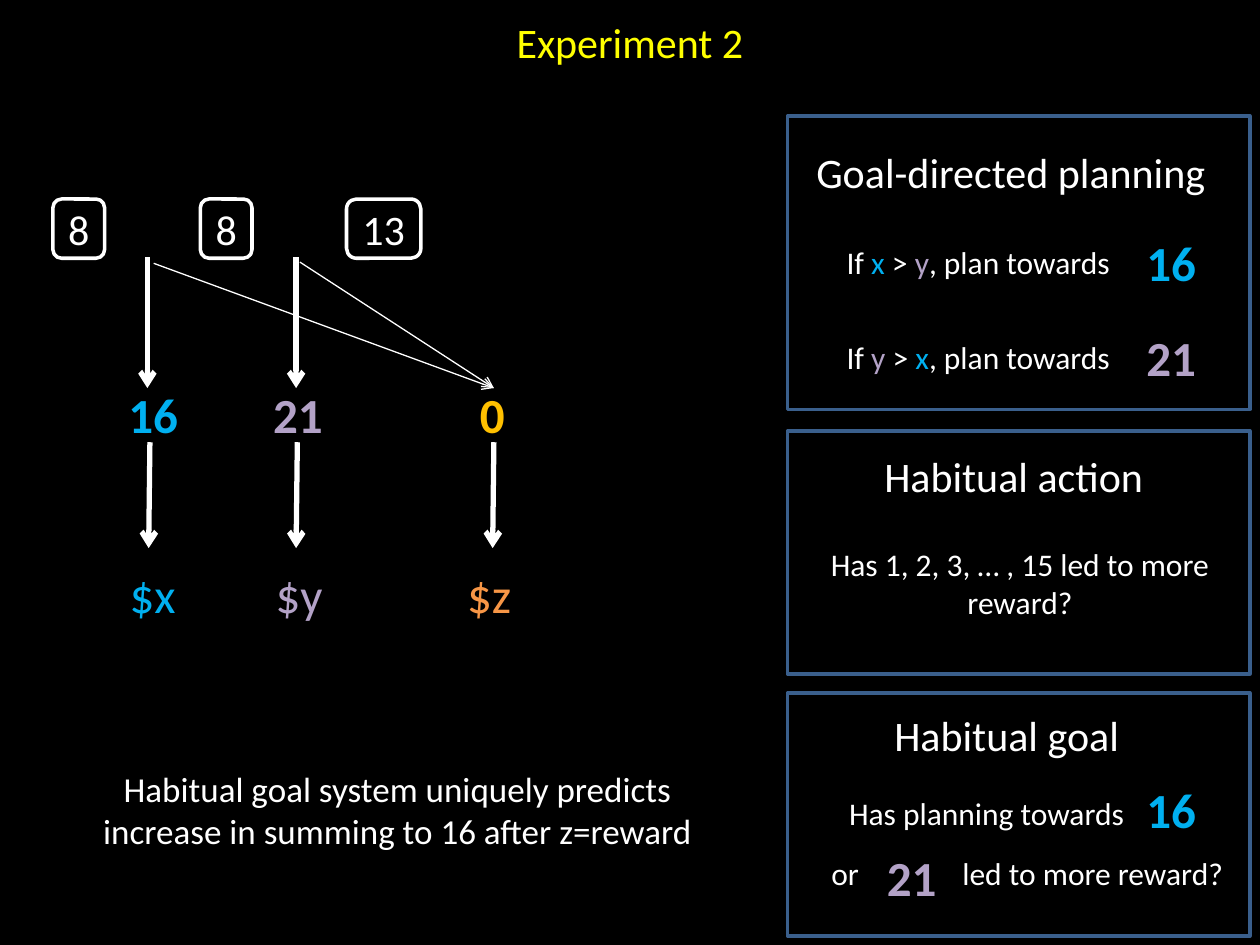
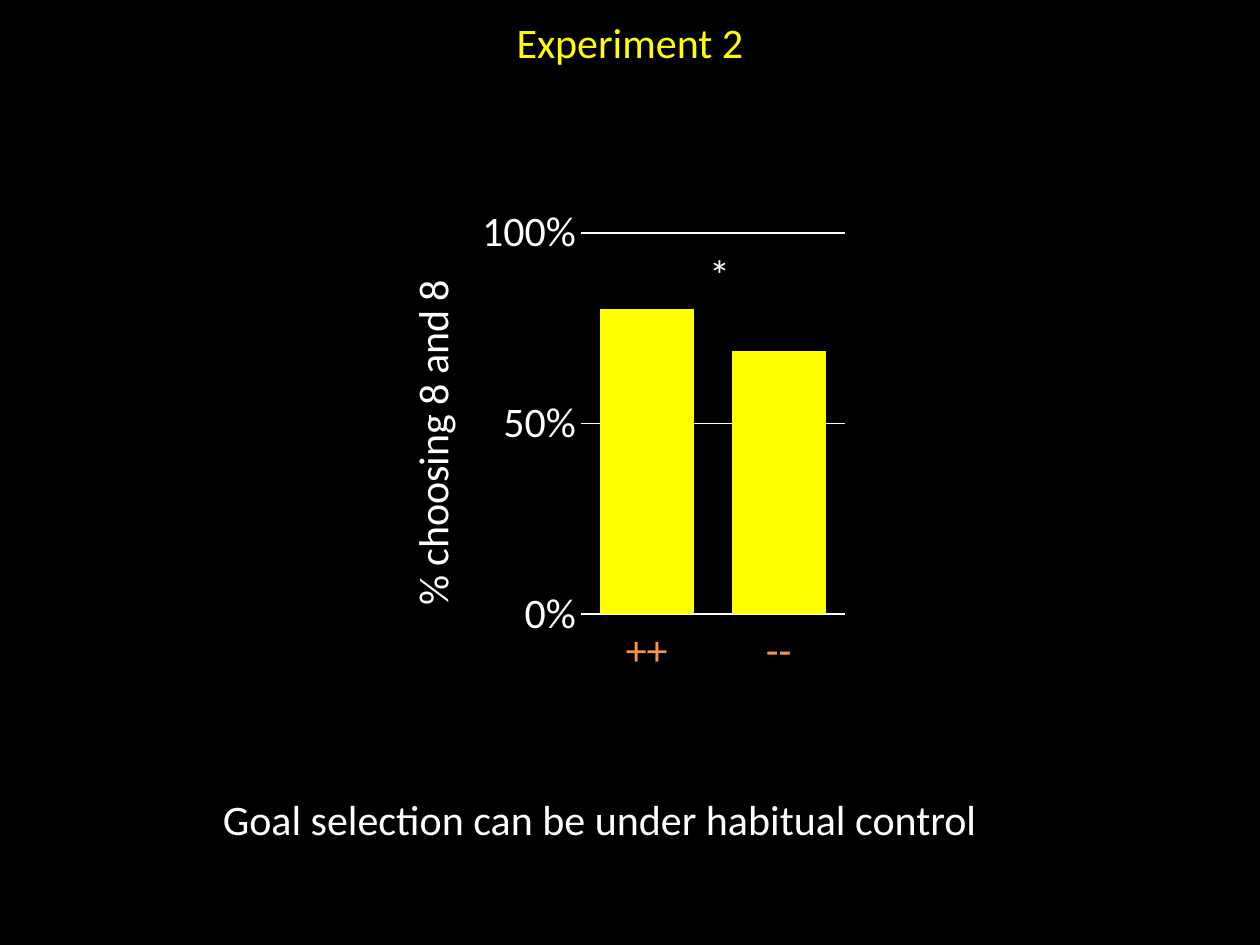
from dataclasses import dataclass

from lxml import etree
from pptx import Presentation
from pptx import util as u
from pptx.chart.data import CategoryChartData
from pptx.dml.color import RGBColor
from pptx.enum import chart as ch, shapes, text
from pptx.oxml import parse_xml
from pptx.oxml.ns import nsdecls, qn

PX = u.Inches(1) // 100


@dataclass(frozen=True)
class Theme:
    font: str = "Calibri"
    back: str = "000000"
    ink: str = "FFFFFF"
    title: str = "FFFF00"
    panel: str = "3A5F8C"
    x: str = "00B0F0"
    y: str = "B3A2C7"
    z: str = "F79646"
    zero: str = "FFC000"
    body: int = 18
    note: int = 20
    head: int = 24
    value: int = 28
    thin: float = 0.75
    outline: float = 2
    thick: float = 3


class Deck:
    def __init__(self, theme):
        self.t = theme
        self.prs = Presentation()
        self.prs.slide_width, self.prs.slide_height = 1000 * PX, 750 * PX

    def slide(self, title):
        self.s = self.prs.slides.add_slide(self.prs.slide_layouts[6])
        fill = self.s.background.fill
        fill.solid()
        fill.fore_color.rgb = RGBColor.from_string(self.t.back)
        self.text(title, 0, 8, 1000, 50, self.t.head, self.t.title, wrap=True)

    def style(self, font, size, color=None, bold=False):
        font.name, font.size, font.bold = self.t.font, u.Pt(size), bold
        if color:
            font.color.rgb = RGBColor.from_string(color)

    def stroke(self, line, color, width):
        line.color.rgb = RGBColor.from_string(color)
        line.width = u.Pt(width)

    def text(self, content, x, y, w, h, size, color=None, bold=False, wrap=False):
        tf = self.s.shapes.add_textbox(x * PX, y * PX, w * PX, h * PX).text_frame
        tf.word_wrap = wrap
        tf.auto_size = text.MSO_AUTO_SIZE.SHAPE_TO_FIT_TEXT
        p = tf.paragraphs[0]
        p.alignment = text.PP_ALIGN.CENTER if wrap else text.PP_ALIGN.LEFT
        if isinstance(content, str):
            p.text = content
            self.style(p.font, size, color or self.t.ink, bold)
            return
        self.style(p.font, size, bold=bold)
        for words, run_color in content:
            r = p.add_run()
            r.text = words
            r.font.color.rgb = RGBColor.from_string(run_color)

    def number(self, value, x, y, color):
        self.text(value, x, y, 60 if len(value) > 1 else 40, 57, self.t.value, color, bold=True)

    def box(self, kind, x, y, w, h, color):
        sp = self.s.shapes.add_shape(kind, x * PX, y * PX, w * PX, h * PX)
        sp.shadow.inherit = False
        sp.fill.background()
        self.stroke(sp.line, color, self.t.outline)
        return sp

    def key(self, label, x, w):
        sp = self.box(shapes.MSO_SHAPE.ROUNDED_RECTANGLE, x, 158, w, 47, self.t.ink)
        tf = sp.text_frame
        tf.margin_left = tf.margin_right = 0
        tf.vertical_anchor = text.MSO_ANCHOR.MIDDLE
        p = tf.paragraphs[0]
        p.text, p.alignment = label, text.PP_ALIGN.CENTER
        self.style(p.font, self.t.head, self.t.ink)

    def panel(self, heading, y, h, head_x, head_y, head_w):
        self.box(shapes.MSO_SHAPE.RECTANGLE, 625, y, 367, h, self.t.panel)
        self.text(heading, head_x, head_y, head_w, 50, self.t.head)

    def arrow(self, x1, y1, x2, y2, width):
        cx = self.s.shapes.add_connector(
            shapes.MSO_CONNECTOR.STRAIGHT, x1 * PX, y1 * PX, x2 * PX, y2 * PX)
        self.stroke(cx.line, self.t.ink, width)
        etree.SubElement(cx.line._get_or_add_ln(), qn("a:tailEnd"), type="arrow")
        etree.SubElement(cx._element.spPr, qn("a:effectLst"))

    def columns(self, name, cats, vals, axis_title, x, y, w, h, plot_area):
        data = CategoryChartData()
        data.categories = cats
        data.add_series(name, vals)
        chart = self.s.shapes.add_chart(
            ch.XL_CHART_TYPE.COLUMN_CLUSTERED, x * PX, y * PX, w * PX, h * PX, data).chart
        self.style(chart.font, self.t.head, self.t.ink)
        chart.has_legend = chart.has_title = False
        plot = chart.plots[0]
        plot.gap_width, plot.vary_by_categories = 40, False
        fill = plot.series[0].format.fill
        fill.solid()
        fill.fore_color.rgb = RGBColor.from_string(self.t.title)

        cat, val = chart.category_axis, chart.value_axis
        for axis in (cat, val):
            axis.major_tick_mark = axis.minor_tick_mark = ch.XL_TICK_MARK.NONE
        cat.tick_label_position = ch.XL_TICK_LABEL_POSITION.LOW
        self.style(cat.tick_labels.font, self.t.head, self.t.z)
        self.stroke(cat.format.line, self.t.ink, 1)
        val.minimum_scale, val.maximum_scale, val.major_unit = 0, 1, 0.5
        self.style(val.tick_labels.font, self.t.head, self.t.ink)
        val.tick_labels.number_format = "#,##0%"
        val.tick_labels.number_format_is_linked = False
        val.format.line.fill.background()
        self.stroke(val.major_gridlines.format.line, self.t.ink, 1)
        p = val.axis_title.text_frame.paragraphs[0]
        p.text = axis_title
        self.style(p.font, self.t.head, self.t.ink)

        fields = [("layoutTarget", "inner"), ("xMode", "edge"), ("yMode", "edge")]
        fields += zip("xywh", plot_area)
        items = "".join(f'<c:{tag} val="{value}"/>' for tag, value in fields)
        area = chart._chartSpace.chart.plotArea
        for old in area.findall(qn("c:layout")):
            area.remove(old)
        area.insert(0, parse_xml(
            f'<c:layout {nsdecls("c")}><c:manualLayout>{items}</c:manualLayout></c:layout>'))


def design_slide(d):
    t = d.t
    d.slide("Experiment 2")

    for label, x, w in (("8", 42, 41), ("8", 159, 41), ("13", 275, 59)):
        d.key(label, x, w)
    for x in (117, 235):
        d.arrow(x, 204, x, 308, t.thick)
    for x, y in ((122, 209), (238, 208)):
        d.arrow(x, y, 392, 308, t.thin)
    for x in (119, 236, 392):
        d.arrow(x, 351, x - 1, 435, t.thick)
    for value, x, color in (("16", 92, t.x), ("21", 207, t.y), ("0", 371, t.zero)):
        d.number(value, x, 300, color)
    for reward, x, color in (("$x", 93, t.x), ("$y", 209, t.y), ("$z", 361, t.z)):
        d.text(reward, x, 443, 57, 57, t.value, color)
    d.text("Habitual goal system uniquely predicts increase in summing to 16 after z=reward",
           47, 604, 537, 77, t.note, wrap=True)

    d.panel("Goal-directed planning", 92, 233, 638, 111, 341)
    x, y = ("x", t.x), ("y", t.y)
    for more, less, goal, top in ((x, y, "16", 180), (y, x, "21", 255)):
        d.text([("If ", t.ink), (more[0] + " ", more[1]), ("> ", t.ink), less,
                (", plan towards", t.ink)], 662, top + 8, 231, 40, t.body)
        d.number(goal, 900, top, more[1])

    d.panel("Habitual action", 342, 193, 692, 353, 237)
    d.text("Has 1, 2, 3, … , 15 led to more reward?", 642, 428, 335, 71, t.body, wrap=True)

    d.panel("Habitual goal", 550, 193, 700, 558, 200)
    for words, x, y, w in (("Has planning towards", 664, 625, 253),
                           ("or", 650, 673, 42), ("led to more reward?", 754, 673, 230)):
        d.text(words, x, y, w, 40, t.body)
    d.number("16", 900, 614, t.x)
    d.number("21", 694, 668, t.y)


def result_slide(d):
    d.slide("Experiment 2")
    d.columns("Region 1", ("++", "--"), (0.8, 0.69), "% choosing 8 and 8",
              303, 150, 368, 388, (0.43, 0.09, 0.57, 0.78))
    d.text("*", 553, 192, 37, 50, d.t.head)
    d.text("Goal selection can be under habitual control", 167, 625, 618, 50, d.t.head)


def main():
    d = Deck(Theme())
    design_slide(d)
    result_slide(d)
    d.prs.save("out.pptx")


if __name__ == "__main__":
    main()
